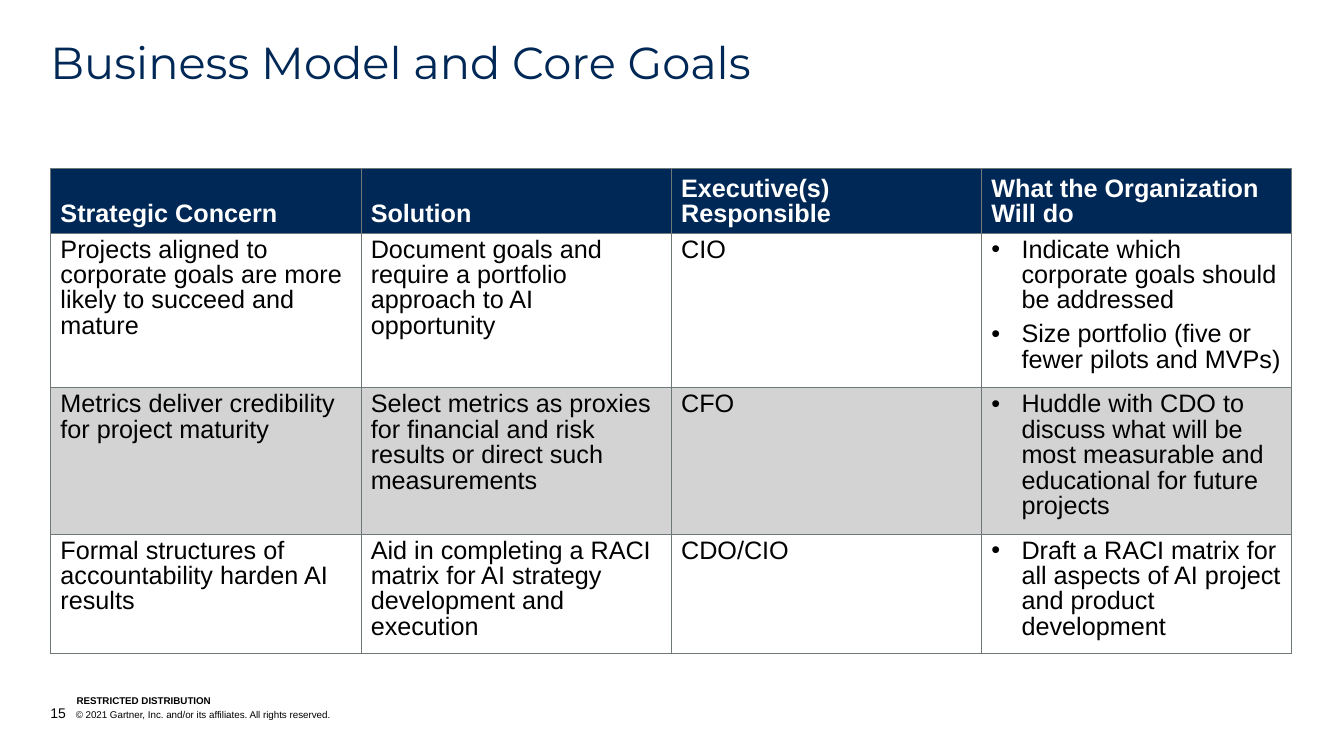
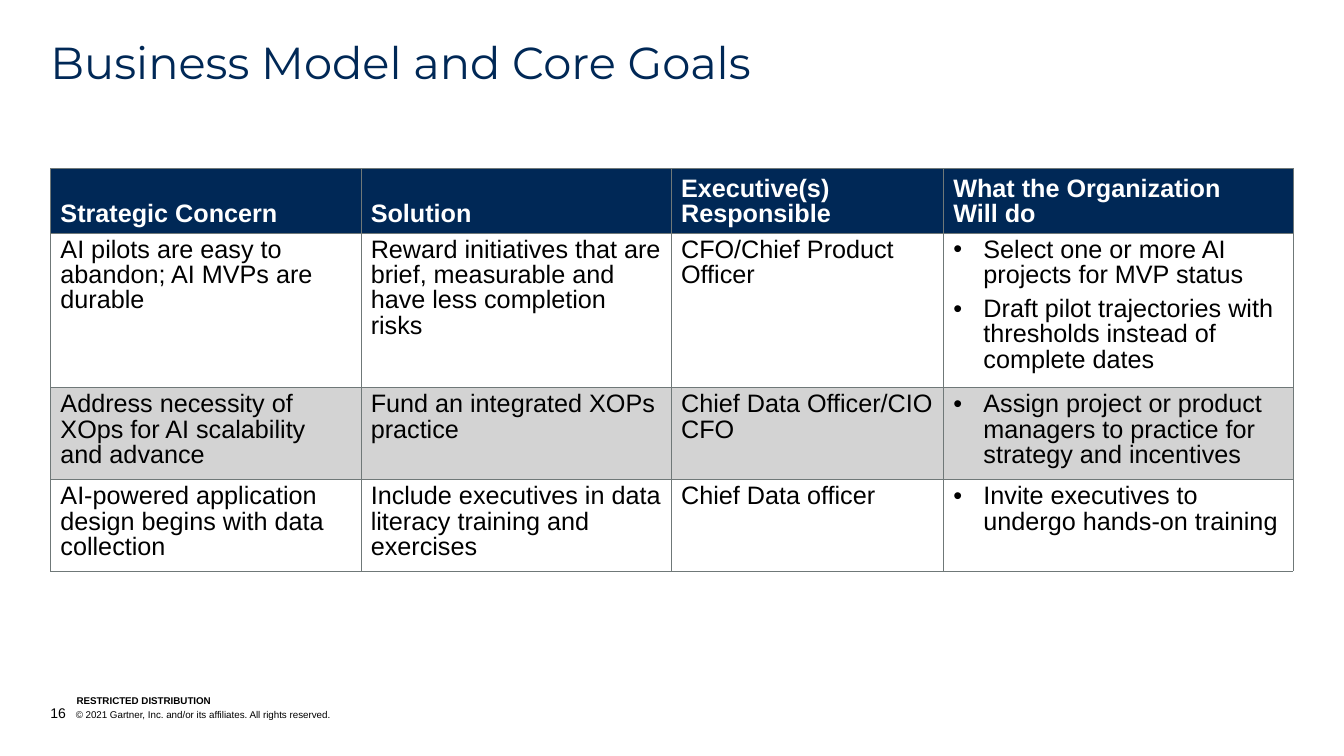
import dataclasses

import lxml.etree
import pptx
import pptx.dml.color
import pptx.enum.text
import pptx.oxml.ns
import pptx.util

Cm, Pt = pptx.util.Cm, pptx.util.Pt
ANCHOR = pptx.enum.text.MSO_ANCHOR

COLORS = {
    "navy": "002856",
    "white": "FFFFFF",
    "grey": "D3D3D3",
    "border": "6F7878",
    "black": "000000",
}
BODY_FONT, TITLE_FONT = "Arial", "Montserrat"
LEFT = 1.27
TITLE = "Business Model and Core Goals"
HEADERS = ["Strategic Concern", "Solution", "Executive(s) Responsible",
           "What the Organization\vWill do"]
HEADER_HEIGHT = 1.54
COPYRIGHT = "© 2021 Gartner, Inc. and/or its affiliates. All rights reserved."


@dataclasses.dataclass
class Row:
    height: float
    concern: str
    solution: str
    executive: str
    actions: list[str]


@dataclasses.dataclass
class GoalsPage:
    number: int
    widths: list[float]
    rows: list[Row]


PAGES = [
    GoalsPage(15, [7.82] * 4, [
        Row(3.68, "Projects aligned to corporate goals are more likely to succeed and mature",
            "Document goals and require a portfolio approach to AI opportunity", "CIO",
            ["Indicate which corporate goals should be addressed",
             "Size portfolio (five or fewer pilots and MVPs)"]),
        Row(3.45, "Metrics deliver credibility for project maturity",
            "Select metrics as proxies for financial and risk results or direct such measurements",
            "CFO",
            ["Huddle with CDO to discuss what will be most measurable and educational "
             "for future projects"]),
        Row(2.8, "Formal structures of accountability harden AI results",
            "Aid in completing a RACI matrix for AI strategy development and execution",
            "CDO/CIO",
            ["Draft a RACI matrix for all aspects of AI project and product development"]),
    ]),
    GoalsPage(16, [7.82, 7.82, 6.86, 8.81], [
        Row(3.68, "AI pilots are easy to abandon; AI MVPs are durable",
            "Reward initiatives that are brief, measurable and have less completion risks",
            "CFO/Chief Product Officer",
            ["Select one or more AI projects for MVP status",
             "Draft pilot trajectories with thresholds instead of complete dates"]),
        Row(2.16, "Address necessity of XOps for AI scalability and advance",
            "Fund an integrated XOPs practice", "Chief Data Officer/CIO CFO",
            ["Assign project or product managers to practice for strategy and incentives"]),
        Row(2.16, "AI-powered application design begins with data collection",
            "Include executives in data literacy training and exercises", "Chief Data officer",
            ["Invite executives to undergo hands-on training"]),
    ]),
]


def rgb(color: str) -> pptx.dml.color.RGBColor:
    return pptx.dml.color.RGBColor.from_string(COLORS[color])


def add_xml(parent, tag: str, **attrs: str):
    return lxml.etree.SubElement(parent, pptx.oxml.ns.qn(tag), attrs)


def set_font(p, size: float, color: str, name: str = BODY_FONT, bold: bool = False) -> None:
    p.font.size, p.font.name, p.font.bold = Pt(size), name, bold
    p.font.color.rgb = rgb(color)


def set_indent(p, indent: float) -> None:
    """Hang the first line of the paragraph by indent centimetres."""
    pPr = p._p.get_or_add_pPr()
    pPr.set("marL", str(Cm(indent)))
    pPr.set("indent", str(-Cm(indent)))


def clear_margins(tf) -> None:
    tf.margin_left = tf.margin_top = tf.margin_right = tf.margin_bottom = 0


def add_bullet(p) -> None:
    set_indent(p, 0.76)
    pPr = p._p.get_or_add_pPr()
    add_xml(add_xml(pPr, "a:buClr"), "a:srgbClr", val=COLORS["black"])
    add_xml(pPr, "a:buFont", typeface=BODY_FONT)
    add_xml(pPr, "a:buChar", char="•")


def add_title(s) -> None:
    sp = s.shapes.title
    sp.left, sp.top, sp.width, sp.height = Cm(LEFT), Cm(1.02), Cm(31.32), Cm(1.24)
    tf = sp.text_frame
    tf.text = TITLE
    tf.auto_size = pptx.enum.text.MSO_AUTO_SIZE.NONE
    tf.vertical_anchor = ANCHOR.TOP
    clear_margins(tf)
    p = tf.paragraphs[0]
    p.alignment = pptx.enum.text.PP_ALIGN.LEFT
    p.line_spacing, p.space_after = 0.9, Pt(12)
    set_font(p, 32, "navy", TITLE_FONT)


def add_footer_line(s, left: float, top: float, width: float, height: float):
    """Add an empty footer box and return its paragraph."""
    tf = s.shapes.add_textbox(Cm(left), Cm(top), Cm(width), Cm(height)).text_frame
    tf.word_wrap = True
    tf.vertical_anchor = ANCHOR.BOTTOM
    clear_margins(tf)
    return tf.paragraphs[0]


def add_footer(s, number: int) -> None:
    p = add_footer_line(s, 1.93, 17.5, 6.43, 0.3)
    p.add_run().text = "RESTRICTED DISTRIBUTION"
    set_font(p, 7, "black", bold=True)

    p = add_footer_line(s, LEFT, 17.75, 20.29, 0.43)
    set_indent(p, 0.64)
    set_font(p, 10, "black")
    p.add_run().text = str(number)
    r = p.add_run()
    r.text = f"\t{COPYRIGHT}"
    r.font.size = Pt(7)


def fill_cell(cell, lines: list[str], fill: str, header: bool = False,
              bullets: bool = False) -> None:
    tcPr = cell._tc.get_or_add_tcPr()
    for side in ("a:lnL", "a:lnR", "a:lnT", "a:lnB"):
        ln = add_xml(tcPr, side, w=str(Pt(0.25)))
        add_xml(add_xml(ln, "a:solidFill"), "a:srgbClr", val=COLORS["border"])
    cell.fill.solid()
    cell.fill.fore_color.rgb = rgb(fill)
    cell.vertical_anchor = ANCHOR.BOTTOM if header else ANCHOR.TOP
    tf = cell.text_frame
    tf.text = "\n".join(lines)
    for p in tf.paragraphs:
        p.line_spacing, p.space_after = 0.9, Pt(6)
        if bullets:
            add_bullet(p)
        set_font(p, 18, "white" if header else "black", bold=header)


def add_goals_table(s, page: GoalsPage) -> None:
    heights = [HEADER_HEIGHT] + [row.height for row in page.rows]
    table = s.shapes.add_table(len(heights), len(HEADERS), Cm(LEFT), Cm(4.24),
                               Cm(sum(page.widths)), Cm(sum(heights))).table
    table.horz_banding = False
    for column, width in zip(table.columns, page.widths):
        column.width = Cm(width)
    for table_row, height in zip(table.rows, heights):
        table_row.height = Cm(height)
    for i, text in enumerate(HEADERS):
        fill_cell(table.cell(0, i), [text], "navy", header=True)
    for i, row in enumerate(page.rows, start=1):
        fill = "white" if i % 2 else "grey"
        for j, text in enumerate((row.concern, row.solution, row.executive)):
            fill_cell(table.cell(i, j), [text], fill)
        fill_cell(table.cell(i, 3), row.actions, fill, bullets=True)


def main() -> None:
    prs = pptx.Presentation()
    prs.slide_width, prs.slide_height = Cm(33.87), Cm(19.05)
    title_only = prs.slide_layouts[5]
    for page in PAGES:
        s = prs.slides.add_slide(title_only)
        add_footer(s, page.number)
        add_title(s)
        add_goals_table(s, page)
    prs.save("out.pptx")


if __name__ == "__main__":
    main()
